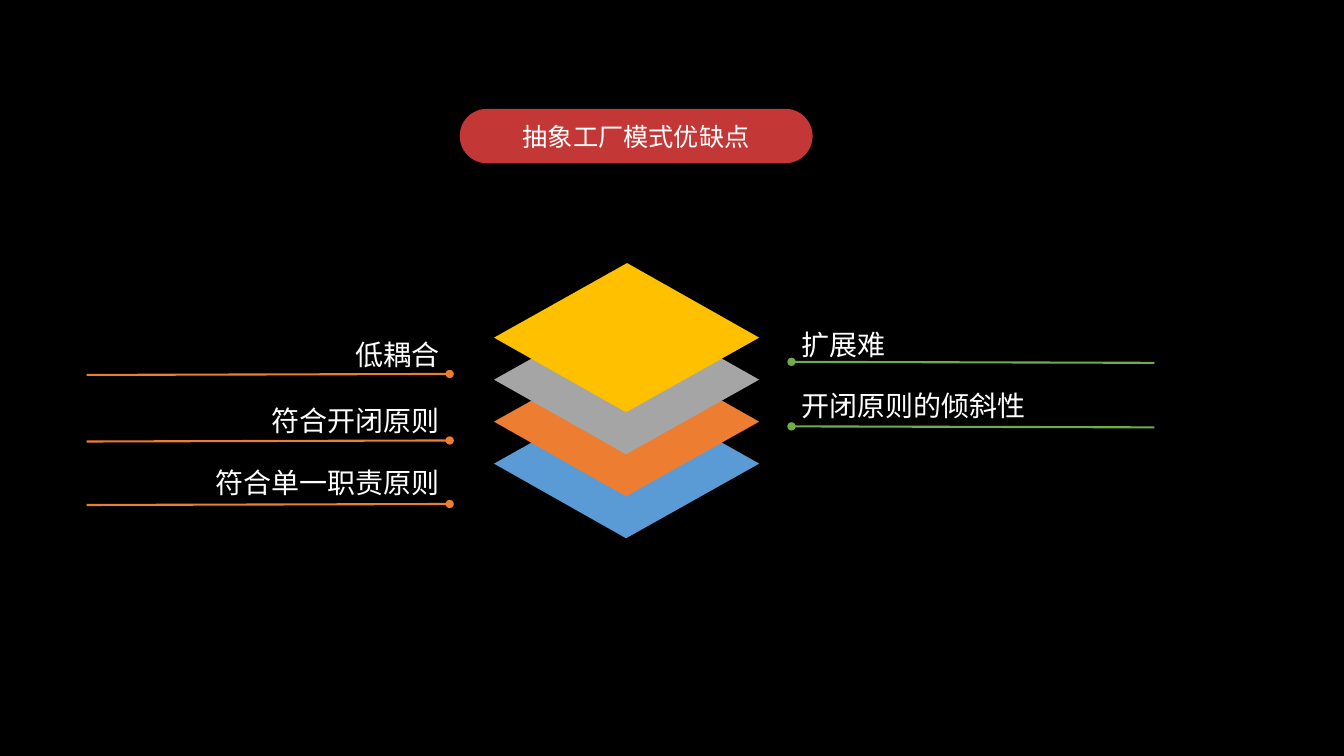
from lxml.etree import SubElement
from pptx import Presentation
from pptx.dml.color import RGBColor
from pptx.enum.shapes import MSO_CONNECTOR, MSO_SHAPE
from pptx.enum.text import MSO_ANCHOR, PP_ALIGN
from pptx.oxml.ns import qn
from pptx.util import Inches, Pt

COLORS = {
    "black": "000000", "white": "FFFFFF", "red": "C33736", "blue": "5B9BD5",
    "orange": "ED7D31", "gray": "A5A5A5", "gold": "FFC000", "green": "70AD47",
}
FONT = "Noto Sans CJK SC"


def color(name):
    return RGBColor.from_string(COLORS[name])


class Canvas:
    def __init__(self, slide):
        self.slide = slide
        self.shapes = slide.shapes

    def back(self, name):
        fill = self.slide.background.fill
        fill.solid()
        fill.fore_color.rgb = color(name)

    def paint(self, shape, name):
        shape.shadow.inherit = False
        shape.fill.solid()
        shape.fill.fore_color.rgb = color(name)
        shape.line.fill.background()

    def set_text(self, shape, text, size, align):
        para = shape.text_frame.paragraphs[0]
        para.text = text
        para.alignment = align
        run = para.runs[0]
        run.font.size = Pt(size)
        run.font.color.rgb = color("white")
        run.font.name = FONT
        props = run._r.get_or_add_rPr()
        SubElement(props, qn("a:ea")).set("typeface", FONT)

    def pill(self, text, left, top, width, height):
        shape = self.shapes.add_shape(
            MSO_SHAPE.ROUNDED_RECTANGLE,
            Inches(left), Inches(top), Inches(width), Inches(height))
        shape.adjustments[0] = 0.5
        self.paint(shape, "red")
        shape.text_frame.vertical_anchor = MSO_ANCHOR.MIDDLE
        self.set_text(shape, text, 18, PP_ALIGN.CENTER)

    def layer(self, name, left, top):
        """Draw one diamond sheet of the stack."""
        points = [(Inches(left + x), Inches(top + y)) for x, y in
                  [(0, 0.74), (1.32, 0), (2.63, 0.74), (1.31, 1.48)]]
        form = self.shapes.build_freeform(*points[0])
        form.add_line_segments(points[1:], close=True)
        self.paint(form.convert_to_shape(), name)

    def label(self, text, left, top, width, height, align):
        box = self.shapes.add_textbox(
            Inches(left), Inches(top), Inches(width), Inches(height))
        box.text_frame.word_wrap = False
        self.set_text(box, text, 20, align)

    def rule(self, name, start, end):
        """Draw a line with a dot at its end."""
        line = self.shapes.add_connector(
            MSO_CONNECTOR.STRAIGHT, *[Inches(v) for v in (*start, *end)])
        line.line.color.rgb = color(name)
        line.line.width = Pt(1.5)
        props = line._element.spPr
        SubElement(props.find(qn("a:ln")), qn("a:tailEnd")).set("type", "oval")
        SubElement(props, qn("a:effectLst"))


def main():
    deck = Presentation()
    deck.slide_width, deck.slide_height = Inches(13.33), Inches(7.5)
    page = Canvas(deck.slides.add_slide(deck.slide_layouts[6]))
    page.back("black")

    for step, name in enumerate(["blue", "orange", "gray", "gold"]):
        page.layer(name, 4.9, 3.86 - step * 1.25 / 3)

    # text, text top, line end height
    pros = [("低耦合", 3.3, 3.71), ("符合开闭原则", 3.95, 4.37),
            ("符合单一职责原则", 4.57, 5)]
    for text, top, y in pros:
        page.label(text, 1.17, top, 3.29, 0.34, PP_ALIGN.RIGHT)
        page.rule("orange", (0.86, y + 0.01), (4.46, y))

    cons = [("扩展难", 3.2, 3.59), ("开闭原则的倾斜性", 3.8, 4.23)]
    for text, top, y in cons:
        page.label(text, 7.85, top, 4.47, 0.58, PP_ALIGN.LEFT)
        page.rule("green", (11.45, y + 0.01), (7.85, y))

    page.pill("抽象工厂模式优缺点", 4.56, 1.08, 3.5, 0.54)
    deck.save("out.pptx")


if __name__ == "__main__":
    main()
